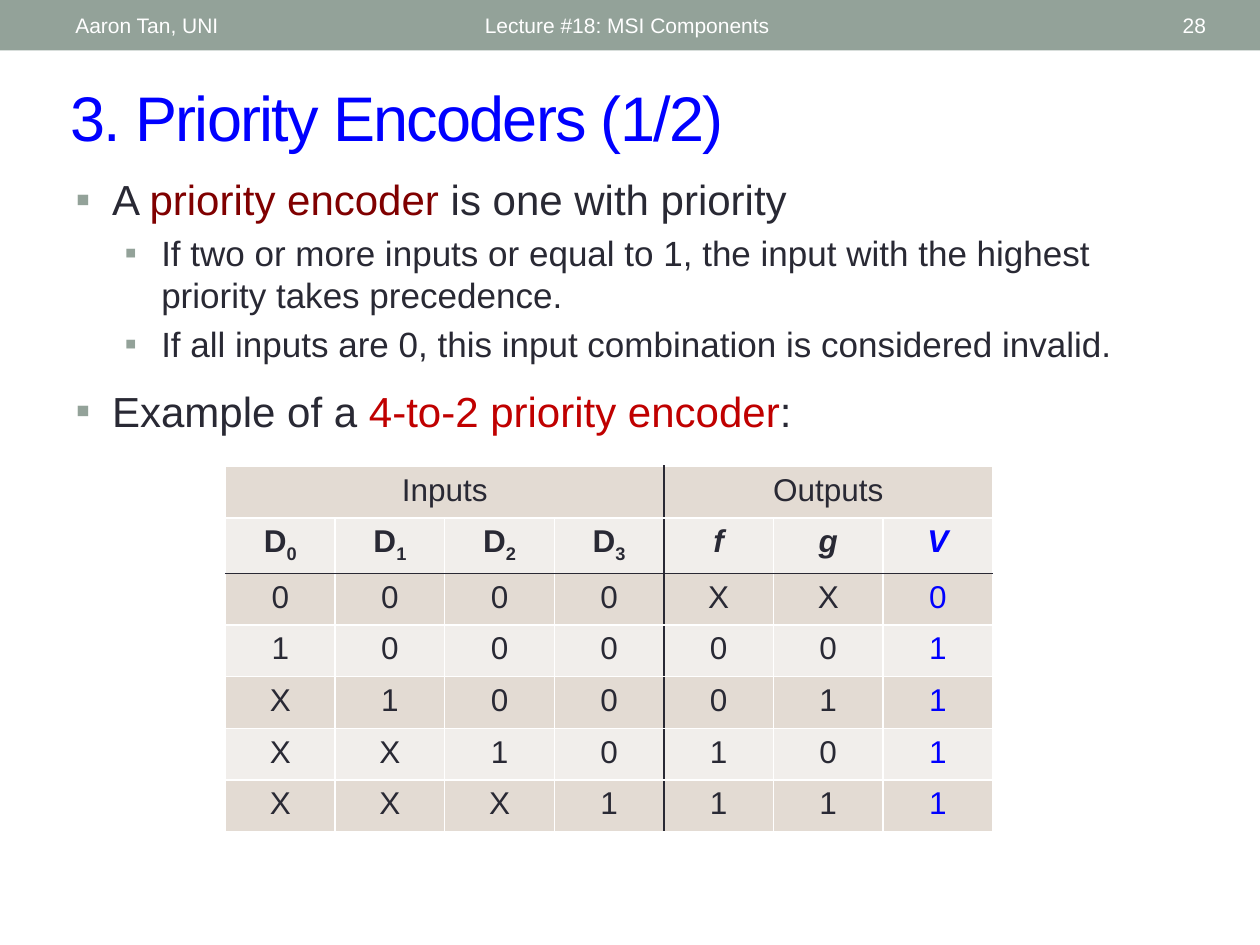
from lxml.etree import SubElement
from pptx import Presentation
from pptx.dml.color import RGBColor
from pptx.enum.shapes import MSO_SHAPE as SHAPE
from pptx.enum.text import MSO_ANCHOR as ANCHOR, MSO_AUTO_SIZE as AUTO, PP_ALIGN as ALIGN
from pptx.oxml.ns import qn
from pptx.util import Inches, Pt

SAGE = RGBColor(0x93, 0xA2, 0x99)
INK = RGBColor(0x29, 0x29, 0x34)
BLUE = RGBColor(0x00, 0x00, 0xFF)
MAROON = RGBColor(0x80, 0x00, 0x00)
RED = RGBColor(0xC0, 0x00, 0x00)
WHITE = RGBColor(0xFF, 0xFF, 0xFF)
BANDS = RGBColor(0xE3, 0xDB, 0xD3), RGBColor(0xF1, 0xEE, 0xEB)

TITLE = "3. Priority Encoders (1/2)"
HEADER = [
    ("Aaron Tan, UNI", 0.5, 3.17, ALIGN.LEFT),
    ("Lecture #18: MSI Components", 3.75, 4.5, ALIGN.LEFT),
    ("28", 8.72, 0.95, ALIGN.RIGHT),
]
BULLETS = [
    (0, [("A ", INK), ("priority encoder ", MAROON), ("is one with priority", INK)]),
    (1, [("If two or more inputs or equal to 1, the input with the highest "
          "priority takes precedence.", INK)]),
    (1, [("If all inputs are 0, this input combination is considered invalid.", INK)]),
    (0, [("Example of a ", INK), ("4-to-2 priority encoder", RED), (":", INK)]),
]
LEVELS = [(24, 0.29), (20, 0.68)]
HANG = 0.29
GROUPS = [("Inputs", 0, 4), ("Outputs", 4, 3)]
INPUTS = ["0", "1", "2", "3"]
OUTPUTS = ["f", "g", "V"]
TRUTH = ["0000XX0", "1000001", "X100011", "XX10101", "XXX1111"]
COLS, ROWS = len(INPUTS + OUTPUTS), len(TRUTH) + 2
COL_W, ROW_H = 0.87, 0.41


def add_run(p, text, size, color, **formats):
    r = p.add_run()
    r.text = text
    r.font.color.rgb = color
    for name, value in {"name": "Arial", "size": Pt(size), **formats}.items():
        setattr(r.font, name, value)
    return r


def place(s, *box):
    s.left, s.top, s.width, s.height = map(Inches, box)


def add_header(slide):
    bar = slide.shapes.add_shape(SHAPE.RECTANGLE, 0, 0, Inches(10), Inches(0.4))
    bar.shadow.inherit = False
    bar.fill.solid()
    bar.fill.fore_color.rgb = SAGE
    bar.line.fill.background()
    for text, left, width, align in HEADER:
        s = slide.shapes.add_textbox(Inches(left), Inches(0.02), Inches(width), Inches(0.36))
        tf = s.text_frame
        tf.word_wrap = True
        tf.vertical_anchor = ANCHOR.MIDDLE
        p = tf.paragraphs[0]
        p.alignment = align
        add_run(p, text, 12, WHITE)


def add_title(s):
    place(s, 0.46, 0.57, 9.21, 0.7)
    tf = s.text_frame
    tf.auto_size = AUTO.NONE
    tf.vertical_anchor = ANCHOR.MIDDLE
    p = tf.paragraphs[0]
    p.alignment = ALIGN.LEFT
    r = add_run(p, TITLE, 36, BLUE)
    r.font._element.set("spc", "-100")


def add_bullets(s):
    place(s, 0.5, 1.33, 8.75, 2.31)
    tf = s.text_frame
    tf.auto_size = AUTO.NONE
    for i, (level, runs) in enumerate(BULLETS):
        p = tf.add_paragraph() if i else tf.paragraphs[0]
        p.level = level
        size, indent = LEVELS[level]
        if i and level == 0:
            p.space_before = Pt(12)
        pPr = p._p.get_or_add_pPr()
        pPr.set("marL", str(Inches(indent)))
        pPr.set("indent", str(-Inches(HANG)))
        color = SubElement(SubElement(pPr, qn("a:buClr")), qn("a:srgbClr"))
        color.set("val", str(SAGE))
        SubElement(pPr, qn("a:buFont")).set("typeface", "Arial")
        SubElement(pPr, qn("a:buChar")).set("char", "▪")
        for text, ink in runs:
            add_run(p, text, size, ink)


def style_cell(cell, row, col, span=1):
    split = len(INPUTS)
    dark = {"L": col == split, "R": col + span == split, "T": row == 2, "B": row == 1}
    tcPr = cell._tc.get_or_add_tcPr()
    for side, is_dark in dark.items():
        ln = SubElement(tcPr, qn(f"a:ln{side}"), w=str(Pt(1)))
        fill = SubElement(ln, qn("a:solidFill"))
        SubElement(fill, qn("a:srgbClr"), val=str(INK if is_dark else WHITE))
    cell.fill.solid()
    cell.fill.fore_color.rgb = BANDS[row % 2]
    p = cell.text_frame.paragraphs[0]
    p.alignment = ALIGN.CENTER
    return p


def add_truth_table(slide):
    table = slide.shapes.add_table(ROWS, COLS, Inches(1.79), Inches(3.7),
                                   Inches(COL_W * COLS), Inches(ROW_H * ROWS)).table
    table.first_row = table.horz_banding = False
    for column in table.columns:
        column.width = Inches(COL_W)
    for row in table.rows:
        row.height = Inches(ROW_H)
    for text, col, span in GROUPS:
        cell = table.cell(0, col)
        cell.merge(table.cell(0, col + span - 1))
        add_run(style_cell(cell, 0, col, span), text, 18, INK)
    for col, name in enumerate(INPUTS + OUTPUTS):
        color = BLUE if name == "V" else INK
        p = style_cell(table.cell(1, col), 1, col)
        if name in INPUTS:
            add_run(p, "D", 18, color, bold=True)
            r = add_run(p, name, 18, color, bold=True)
            r.font._element.set("baseline", "-25000")
        else:
            add_run(p, name, 18, color, bold=True, italic=True)
        for row, values in enumerate(TRUTH, 2):
            add_run(style_cell(table.cell(row, col), row, col), values[col], 18, color)


def main():
    prs = Presentation()
    prs.slide_width, prs.slide_height = Inches(10), Inches(7.5)
    slide = prs.slides.add_slide(prs.slide_layouts[1])
    add_header(slide)
    add_title(slide.shapes.title)
    add_bullets(slide.placeholders[1])
    add_truth_table(slide)
    prs.save("out.pptx")


if __name__ == "__main__":
    main()
